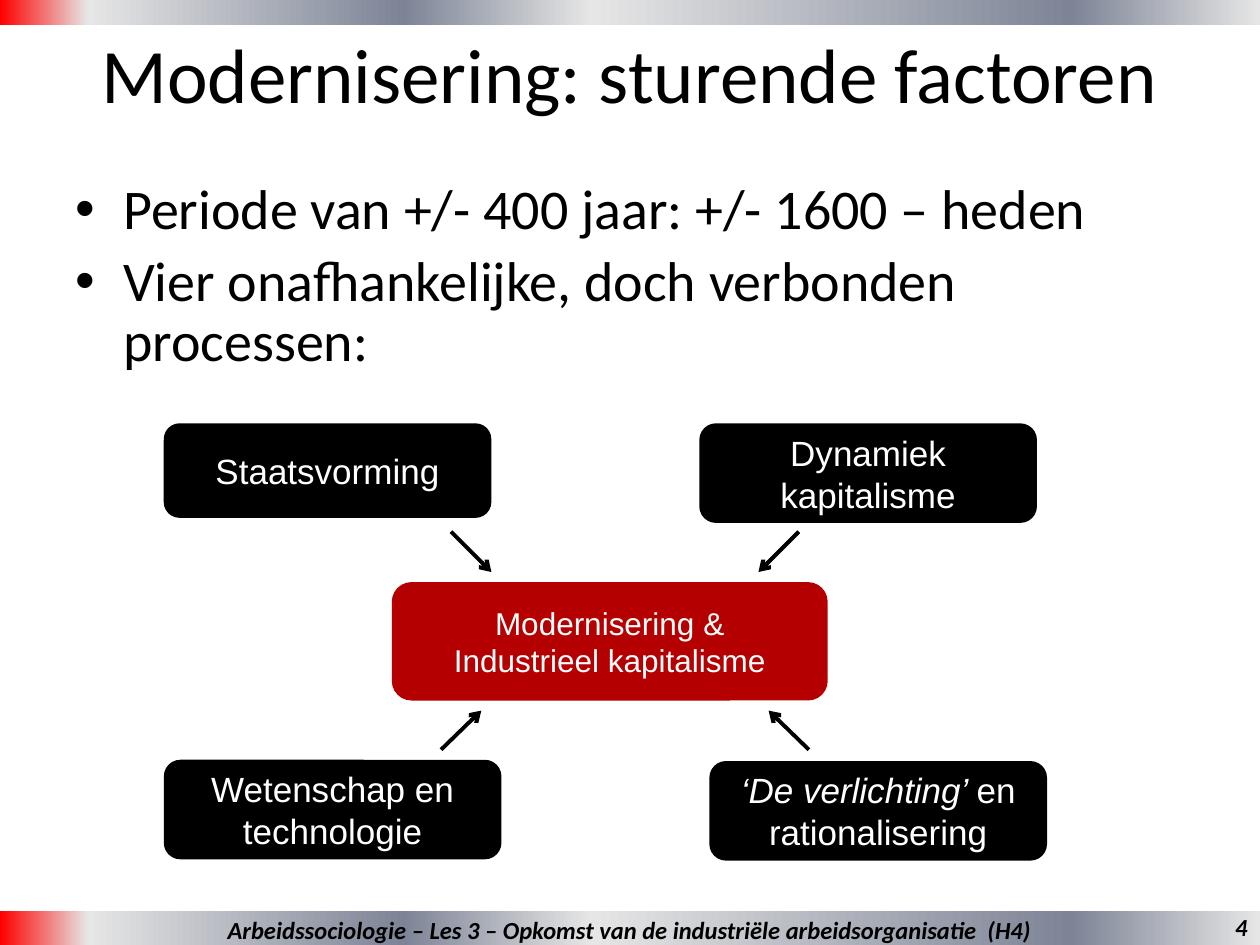
from lxml.etree import SubElement as Sub
from pptx import Presentation
from pptx.dml.color import RGBColor as RGB
from pptx.enum.shapes import MSO_CONNECTOR as Link, MSO_SHAPE as Kind
from pptx.enum.text import MSO_ANCHOR as Anchor, PP_ALIGN as Align
from pptx.oxml.ns import qn
from pptx.util import Inches, Pt

theme = {
    "black": RGB.from_string("000000"),
    "white": RGB.from_string("FFFFFF"),
    "red": RGB.from_string("B40000"),
    "fade": [(0, "FF0000"), (7, "E6E6E6"), (32, "7D8496"),
             (47, "E6E6E6"), (85, "7D8496"), (100, "E6E6E6")],
    "head": "Calibri", "label": "Arial",
    "title": 44, "body": 32, "node": 20, "core": 18, "foot": 14,
}


def write(shape, paras, size, font=theme["head"], color=theme["black"],
          align=Align.CENTER, anchor=Anchor.MIDDLE, bold=False,
          italic=False, bullet=False):
    frame = shape.text_frame
    frame.word_wrap = True
    frame.vertical_anchor = anchor
    for i, runs in enumerate(paras):
        para = frame.paragraphs[0] if i == 0 else frame.add_paragraph()
        para.alignment = align
        if bullet:
            props = para._p.get_or_add_pPr()
            props.set("marL", str(Inches(0.38)))
            props.set("indent", str(Inches(-0.38)))
            Sub(props, qn("a:buFont"), typeface="Arial")
            Sub(props, qn("a:buChar"), char="•")
            para.line_spacing = 0.9
            if i:
                para.space_before = Pt(6.4)
        for text, slant in [(runs, italic)] if isinstance(runs, str) else runs:
            run = para.add_run()
            run.text = text
            run.font.size = Pt(size)
            run.font.name = font
            run.font.bold = bold
            run.font.italic = slant
            run.font.color.rgb = color


def block(kind, box, fill=None):
    shape = shapes.add_shape(kind, *map(Inches, box))
    shape.shadow.inherit = False
    shape.line.fill.background()
    if fill is not None:
        shape.fill.solid()
        shape.fill.fore_color.rgb = fill
        return shape
    shape.fill.gradient()
    shape.fill.gradient_angle = 0
    stops = shape._element.spPr.find(qn("a:gradFill")).find(qn("a:gsLst"))
    for stop in list(stops):
        stops.remove(stop)
    for place, tone in theme["fade"]:
        stop = Sub(stops, qn("a:gs"), pos=str(place * 1000))
        Sub(stop, qn("a:srgbClr"), val=tone)
    return shape


deck = Presentation()
deck.slide_width, deck.slide_height = Inches(10), Inches(7.5)
shapes = deck.slides.add_slide(deck.slide_layouts[6]).shapes

block(Kind.RECTANGLE, (0, 0, 10, 0.2))
footer = block(Kind.RECTANGLE, (0, 7.23, 10, 0.29))
write(footer, ["Arbeidssociologie – Les 3 – Opkomst van de industriële arbeidsorganisatie  (H4)"],
      theme["foot"], bold=True, italic=True)

title = shapes.add_textbox(*map(Inches, (0.2, 0, 9.6, 1.15)))
write(title, ["Modernisering: sturende factoren"], theme["title"])

body = shapes.add_textbox(*map(Inches, (0.5, 1.39, 9.2, 1.8)))
write(body, ["Periode van +/- 400 jaar: +/- 1600 – heden",
             "Vier onafhankelijke, doch verbonden processen:"],
      theme["body"], align=Align.LEFT, anchor=Anchor.TOP, bullet=True)

number = shapes.add_textbox(*map(Inches, (7.17, 7.21, 2.83, 0.29)))
write(number, ["4"], theme["foot"], align=Align.RIGHT, bold=True, italic=True)

nodes = [
    ((1.3, 3.36, 2.6, 0.75), "Staatsvorming"),
    ((5.55, 3.36, 2.68, 0.79), "Dynamiek kapitalisme"),
    ((1.3, 6.03, 2.68, 0.79), "Wetenschap en technologie"),
    ((5.63, 6.04, 2.68, 0.79),
     [("‘De verlichting’ ", True), ("en rationalisering", False)]),
]
for box, label in nodes:
    write(block(Kind.ROUNDED_RECTANGLE, box, theme["black"]), [label],
          theme["node"], font=theme["label"], color=theme["white"])

core = block(Kind.ROUNDED_RECTANGLE, (3.11, 4.62, 3.46, 0.94), theme["red"])
write(core, ["Modernisering &", "Industrieel kapitalisme"],
      theme["core"], font=theme["label"], color=theme["white"])

arrows = [(3.58, 4.22, 3.9, 4.54), (6.34, 4.22, 6.02, 4.54),
          (6.42, 5.95, 6.1, 5.64), (3.5, 5.95, 3.82, 5.64)]
for ends in arrows:
    arrow = shapes.add_connector(Link.STRAIGHT, *map(Inches, ends))
    arrow.line.width = Pt(2.25)
    arrow.line.color.rgb = theme["black"]
    Sub(arrow.line._get_or_add_ln(), qn("a:tailEnd"), type="arrow")
    Sub(arrow._element.spPr, qn("a:effectLst"))

deck.save("out.pptx")
